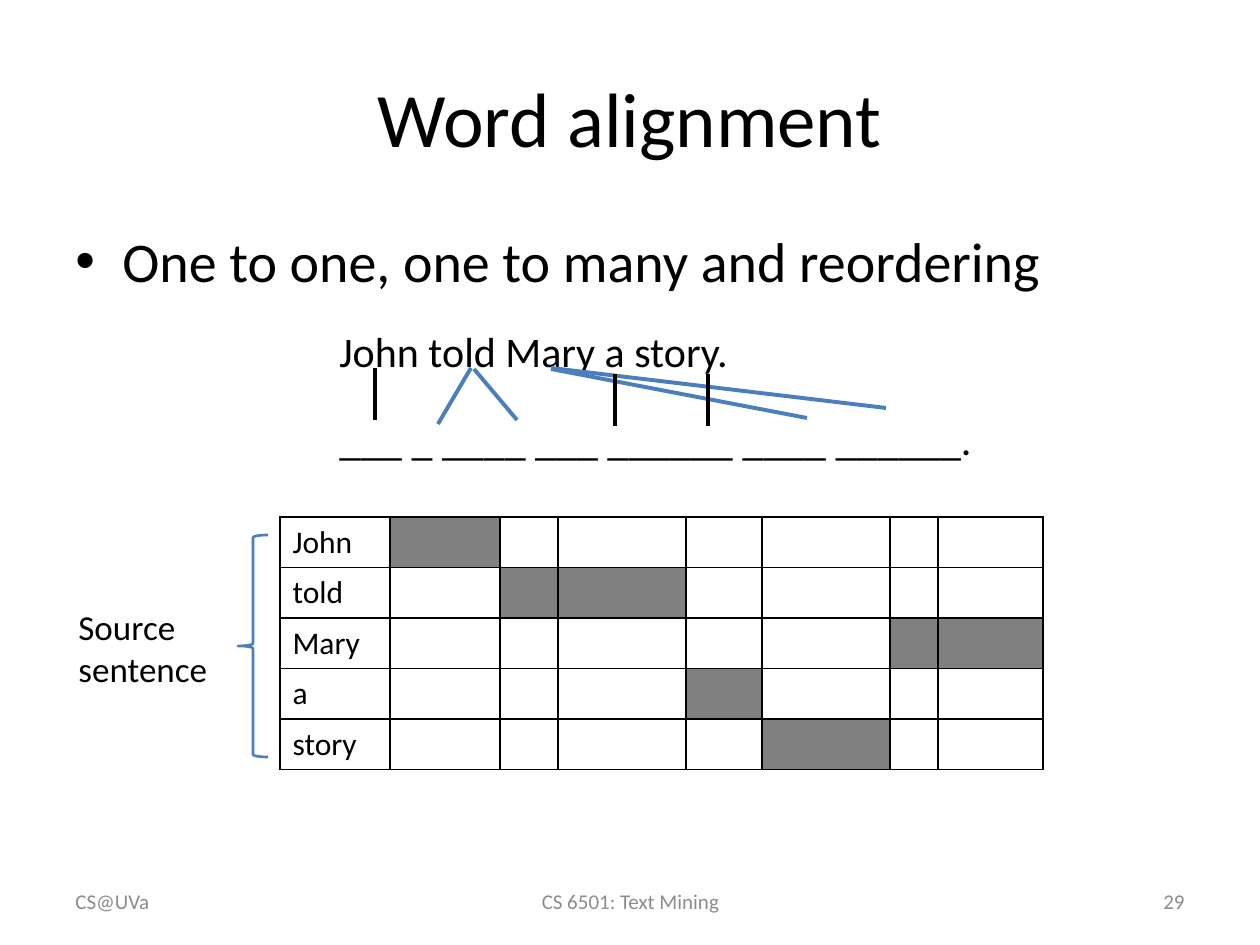
from lxml import etree
from pptx import Presentation
from pptx import util as u
from pptx.dml.color import RGBColor
from pptx.enum import shapes, text
from pptx.oxml import ns

SCALE = 914400 / 126
COLORS = {"ink": "000000", "blue": "4B7EBC", "mark": "808080", "muted": "8C8C8C"}
ALIGN = {"left": text.PP_ALIGN.LEFT, "center": text.PP_ALIGN.CENTER, "right": text.PP_ALIGN.RIGHT}

SOURCE_WORDS = ["John", "told", "Mary", "a", "story"]
COLUMN_WIDTHS = [110, 110, 58, 128, 76, 128, 48, 105]
ALIGNED_COLUMNS = [{1}, {2, 3}, {6, 7}, {4}, {5}]
ROW_HEIGHT = 50

ALIGNMENT_LINES = [
    ("ink", 375, 368, 375, 420),
    ("blue", 471, 368, 438, 424),
    ("blue", 474, 369, 517, 420),
    ("blue", 551, 369, 807, 418),
    ("blue", 551, 368, 886, 408),
    ("ink", 615, 374, 615, 426),
    ("ink", 708, 374, 708, 426),
]


def px(length):
    return u.Emu(round(length * SCALE))


def color(name):
    return RGBColor.from_string(COLORS[name])


def write(frame, words, size=18, ink="ink", align="left", bullet=None, indent=0):
    para = frame.paragraphs[0]
    para.alignment = ALIGN[align]
    span = para.add_run()
    span.text = words
    span.font.name = "Calibri"
    span.font.size = u.Pt(size)
    span.font.color.rgb = color(ink)
    if bullet:
        props = para._p.get_or_add_pPr()
        props.set("marL", str(px(indent)))
        props.set("indent", str(-px(indent)))
        etree.SubElement(props, ns.qn("a:buFont"), typeface="Arial")
        etree.SubElement(props, ns.qn("a:buChar"), char=bullet)


def border_cell(cell):
    props = cell._tc.get_or_add_tcPr()
    for index, side in enumerate(("lnL", "lnR", "lnT", "lnB")):
        line = etree.Element(ns.qn(f"a:{side}"), w=str(u.Pt(1)))
        fill = etree.SubElement(line, ns.qn("a:solidFill"))
        etree.SubElement(fill, ns.qn("a:srgbClr"), val=COLORS["ink"])
        props.insert(index, line)


class SlideBuilder:
    """Places styled elements on one slide, with lengths in px."""

    def __init__(self, slide):
        self.slide = slide

    def title(self, words, left, top, width, height):
        box = self.slide.shapes.title
        box.left, box.top, box.width, box.height = map(px, (left, top, width, height))
        box.text_frame.vertical_anchor = text.MSO_ANCHOR.MIDDLE
        write(box.text_frame, words, size=44, align="center")

    def text(self, words, left, top, width, height, wrap=True, middle=False, **style):
        box = self.slide.shapes.add_textbox(*map(px, (left, top, width, height)))
        frame = box.text_frame
        frame.word_wrap = wrap
        if middle:
            frame.vertical_anchor = text.MSO_ANCHOR.MIDDLE
        write(frame, words, **style)

    def line(self, ink, *ends):
        line = self.slide.shapes.add_connector(shapes.MSO_CONNECTOR.STRAIGHT, *map(px, ends))
        line.line.color.rgb = color(ink)
        line.line.width = u.Pt(2.25)
        etree.SubElement(line._element.spPr, ns.qn("a:effectLst"))

    def brace(self, left, top, width, height):
        brace = self.slide.shapes.add_shape(
            shapes.MSO_SHAPE.LEFT_BRACE, *map(px, (left, top, width, height)))
        brace.shadow.inherit = False
        brace.fill.background()
        brace.line.color.rgb = color("blue")
        brace.line.width = u.Pt(1.5)

    def alignment_table(self, left, top):
        size = (sum(COLUMN_WIDTHS), ROW_HEIGHT * len(SOURCE_WORDS))
        table = self.slide.shapes.add_table(
            len(SOURCE_WORDS), len(COLUMN_WIDTHS), *map(px, (left, top, *size))).table
        table.first_row = table.horz_banding = False
        for column, width in zip(table.columns, COLUMN_WIDTHS):
            column.width = px(width)
        for row, word, marked in zip(table.rows, SOURCE_WORDS, ALIGNED_COLUMNS):
            row.height = px(ROW_HEIGHT)
            write(row.cells[0].text_frame, word)
            for index, cell in enumerate(row.cells):
                if index in marked:
                    cell.fill.solid()
                    cell.fill.fore_color.rgb = color("mark")
                else:
                    cell.fill.background()
                border_cell(cell)


def main():
    deck = Presentation()
    deck.slide_width, deck.slide_height = px(1260), px(945)
    page = SlideBuilder(deck.slides.add_slide(deck.slide_layouts[5]))

    page.title("Word alignment", 63, 38, 1134, 157)
    page.text("One to one, one to many and reordering", 63, 220, 1134, 80,
              size=32, bullet="•", indent=47)
    page.text("John told Mary a story.", 327, 319, 417, 63, wrap=False, size=24)
    for line in ALIGNMENT_LINES:
        page.line(*line)
    page.text("___ _ ____ ___ ______ ____ ______.", 327, 407, 687, 63, wrap=False, size=24)

    page.text("Source sentence", 66, 599, 198, 97, size=20)
    page.brace(238, 535, 30, 222)
    page.alignment_table(280, 517)

    footers = [("CS@UVa", 63, 294, "left"),
               ("CS 6501: Text Mining", 431, 399, "center"),
               ("29", 903, 294, "right")]
    for words, left, width, align in footers:
        page.text(words, left, 876, width, 50, middle=True, size=12, ink="muted", align=align)

    deck.save("out.pptx")


if __name__ == "__main__":
    main()
